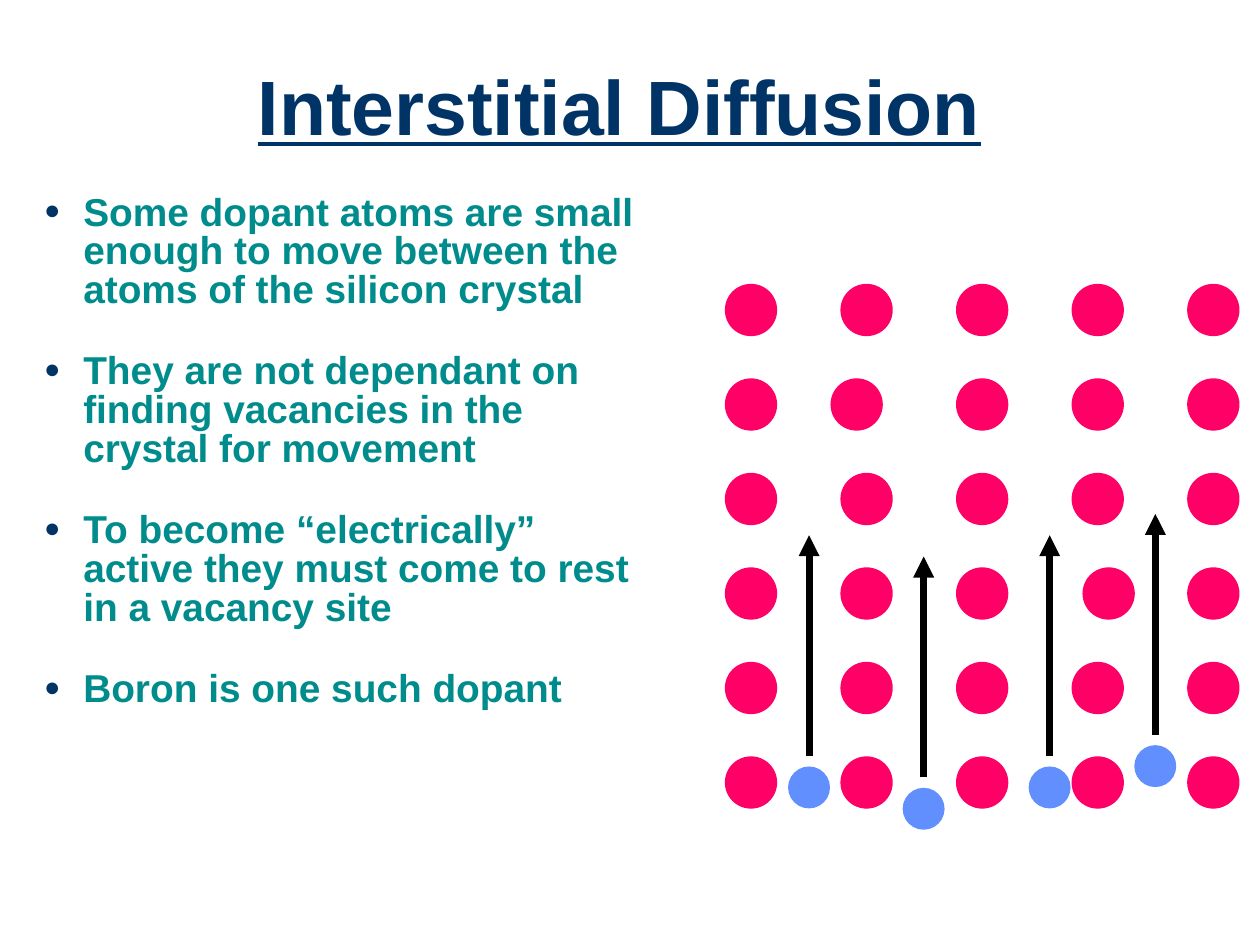
from lxml.etree import SubElement
from pptx import Presentation
from pptx.dml.color import RGBColor
from pptx.enum.shapes import MSO_CONNECTOR, MSO_SHAPE
from pptx.enum.text import MSO_ANCHOR, PP_ALIGN
from pptx.oxml.ns import qn
from pptx.util import Cm, Pt

COLORS = {"title": "003366", "body": "008C8C", "silicon": "FF0066",
          "dopant": "618FFD", "arrow": "000000"}
FONT = "Arial"
POINTS = [
    "Some dopant atoms are small enough to move between the atoms of the silicon crystal",
    "They are not dependant on finding vacancies in the crystal for movement",
    "To become “electrically” active they must come to rest in a vacancy site",
    "Boron is one such dopant",
]
ROWS, COLS = 6, 5
COL_PITCH, ROW_PITCH = 2.33, 1.905
SILICON_SIZE, DOPANT_SIZE = 1.02, 0.81
ARROW_LENGTH, ARROW_GAP = 4.45, 0.23
SHIFTS = {(1, 1): -0.2, (3, 3): 0.22}
DOPANTS = [(1.68, 9.5), (3.99, 9.93), (6.53, 9.5), (8.66, 9.07)]


def rgb(name):
    """Return the named palette colour."""
    return RGBColor.from_string(COLORS[name])


def add_run(p, text, size, color):
    """Add a bold run to a paragraph and return it."""
    r = p.add_run()
    r.text = text
    r.font.name = FONT
    r.font.size = Pt(size)
    r.font.bold = True
    r.font.color.rgb = rgb(color)
    return r


def add_bullet(p):
    """Give a paragraph a hanging round bullet."""
    pPr = p._p.get_or_add_pPr()
    pPr.set("marL", str(Cm(0.79)))
    pPr.set("indent", str(-Cm(0.79)))
    clr = SubElement(pPr, qn("a:buClr"))
    SubElement(clr, qn("a:srgbClr"), val=COLORS["title"])
    SubElement(pPr, qn("a:buSzPct"), val="70000")
    SubElement(pPr, qn("a:buFont"), typeface=FONT)
    SubElement(pPr, qn("a:buChar"), char="●")


def add_title(s, left, top, width, height):
    """Place the underlined slide title."""
    sp = s.shapes.title
    sp.left, sp.top, sp.width, sp.height = Cm(left), Cm(top), Cm(width), Cm(height)
    tf = sp.text_frame
    tf.vertical_anchor = MSO_ANCHOR.MIDDLE
    p = tf.paragraphs[0]
    p.alignment = PP_ALIGN.CENTER
    p.line_spacing = 0.9
    add_run(p, "Interstitial Diffusion", 44, "title").font.underline = True


def add_points(s, left, top, width, height):
    """Place the bulleted text."""
    tf = s.shapes.add_textbox(Cm(left), Cm(top), Cm(width), Cm(height)).text_frame
    tf.word_wrap = True
    for i, text in enumerate(POINTS):
        p = tf.add_paragraph() if i else tf.paragraphs[0]
        p.line_spacing = 0.83
        p.space_before = Pt(24.4 if i else 0)
        add_bullet(p)
        add_run(p, text, 22.2, "body")


def add_atom(s, left, top, size, color):
    """Place one round atom."""
    sp = s.shapes.add_shape(MSO_SHAPE.OVAL, Cm(left), Cm(top), Cm(size), Cm(size))
    sp.shadow.inherit = False
    sp.fill.solid()
    sp.fill.fore_color.rgb = rgb(color)
    sp.line.color.rgb = rgb(color)
    sp.line.width = Pt(1)


def add_arrow(s, x, y, length):
    """Place an upward arrow starting at the given point."""
    line = s.shapes.add_connector(MSO_CONNECTOR.STRAIGHT, Cm(x), Cm(y), Cm(x), Cm(y - length))
    line.line.color.rgb = rgb("arrow")
    line.line.width = Pt(4)
    SubElement(line.line._get_or_add_ln(), qn("a:tailEnd"), type="triangle")
    SubElement(line._element.spPr, qn("a:effectLst"))


def add_crystal(s, left, top):
    """Place the silicon lattice and the dopants moving up through it."""
    for row in range(ROWS):
        for col in range(COLS):
            x = left + col * COL_PITCH + SHIFTS.get((row, col), 0)
            add_atom(s, x, top + row * ROW_PITCH, SILICON_SIZE, "silicon")
    for dx, dy in DOPANTS:
        x, y = left + dx, top + dy
        add_atom(s, x - DOPANT_SIZE / 2, y + ARROW_GAP, DOPANT_SIZE, "dopant")
        add_arrow(s, x, y, ARROW_LENGTH)


def main():
    """Build and save the slide."""
    prs = Presentation()
    prs.slide_width, prs.slide_height = Cm(25.4), Cm(19.05)
    s = prs.slides.add_slide(prs.slide_layouts[5])
    add_title(s, 0.64, 0.64, 23.7, 3.18)
    add_points(s, 0.64, 3.81, 12.7, 11.43)
    add_crystal(s, 14.63, 5.74)
    prs.save("out.pptx")


if __name__ == "__main__":
    main()
